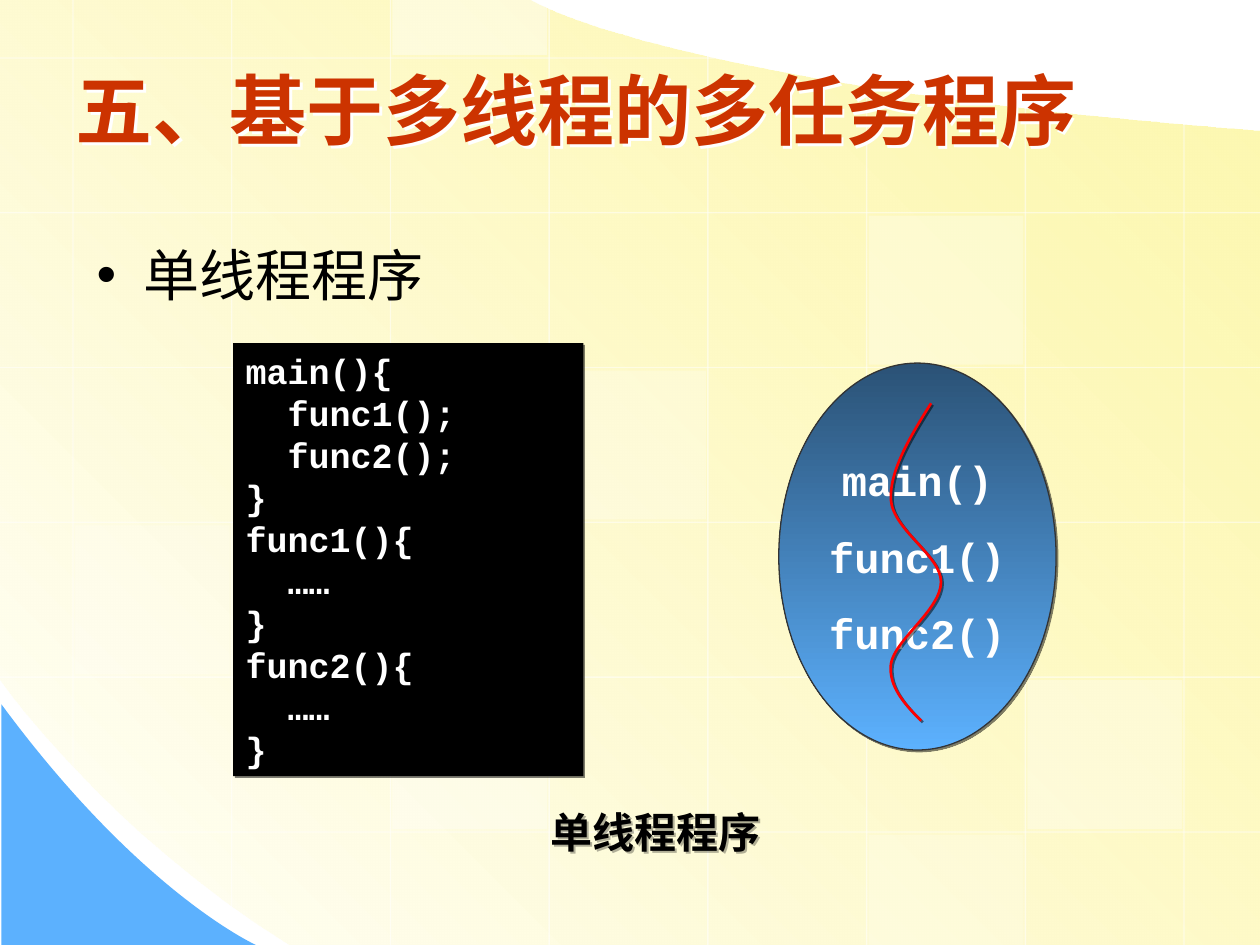
from lxml import etree
from pptx import Presentation
from pptx.dml.color import RGBColor
from pptx.enum.shapes import MSO_CONNECTOR as CONN, MSO_SHAPE as SHAPE
from pptx.enum.text import MSO_ANCHOR as ANCHOR, MSO_AUTO_SIZE as AUTO, PP_ALIGN as ALIGN
from pptx.oxml.ns import qn
from pptx.util import Cm, Pt

W, H = 25.4, 19.05
COLORS = {
    "white": "FFFFFF", "black": "000000", "title": "CC3300", "red": "FF0000",
    "yellow": "FDF58D", "cream": "FFFFFB", "sky": "5CB1FE", "navy": "2B5276",
    "outline": "333333",
}


def rgb(name):
    return RGBColor.from_string(COLORS[name])


class SlideBuilder:
    """Holds the drawing style and the current slide."""

    def __init__(self, s):
        self.s = s
        self.shapes = s.shapes

    def alpha(self, fill, percent):
        """Sets the opacity of a solid fill or of a gradient's first stop."""
        color = next(fill._xPr.iter(qn("a:srgbClr")))
        etree.SubElement(color, qn("a:alpha"), val=str(percent * 1000))

    def effects(self, sp, shadow=None, alpha=50, dist=1.4):
        sp_pr = sp._element.spPr
        for old in sp_pr.findall(qn("a:effectLst")):
            sp_pr.remove(old)
        effects = etree.SubElement(sp_pr, qn("a:effectLst"))
        if shadow:
            outer = etree.SubElement(effects, qn("a:outerShdw"), dist=str(Pt(dist)),
                                     dir="2700000", algn="ctr", rotWithShape="0")
            color = etree.SubElement(outer, qn("a:srgbClr"), val=COLORS[shadow])
            etree.SubElement(color, qn("a:alpha"), val=str(alpha * 1000))

    def paint(self, sp, fill=None, line=None, width=0.75, angle=0):
        """fill is a colour name, a pair for a gradient, or None."""
        if isinstance(fill, tuple):
            sp.fill.gradient()
            sp.fill.gradient_angle = angle
            for stop, name, position in zip(sp.fill.gradient_stops, fill, (0, 1)):
                stop.color.rgb = rgb(name)
                stop.position = position
        elif fill:
            sp.fill.solid()
            sp.fill.fore_color.rgb = rgb(fill)
        else:
            sp.fill.background()
        if line:
            sp.line.color.rgb = rgb(line)
            sp.line.width = Pt(width)
        else:
            sp.line.fill.background()

    def shape(self, kind, box, shadow=None, **style):
        sp = self.shapes.add_shape(kind, *map(Cm, box))
        self.paint(sp, **style)
        self.effects(sp, shadow)
        return sp

    def outline(self, start, parts, close=True, shadow=None, **style):
        """parts are points (x, y) or cubic curves of six numbers."""
        points = [(Cm(part[i]), Cm(part[i + 1]))
                  for part in parts for i in range(0, len(part), 2)]
        builder = self.shapes.build_freeform(*map(Cm, start))
        builder.add_line_segments(points, close=close)
        sp = builder.convert_to_shape()
        # Join the three points of each curve into one segment
        segments = iter(list(sp._element.iter(qn("a:lnTo"))))
        for part in parts:
            group = [next(segments) for _ in range(len(part) // 2)]
            if len(group) == 3:
                curve = etree.Element(qn("a:cubicBezTo"))
                group[0].addprevious(curve)
                for segment in group:
                    curve.append(segment[0])
                    segment.getparent().remove(segment)
        self.paint(sp, **style)
        self.effects(sp, shadow)
        return sp

    def grid_line(self, x1, y1, x2, y2):
        line = self.shapes.add_connector(CONN.STRAIGHT, *map(Cm, (x1, y1, x2, y2)))
        line.line.color.rgb = rgb("white")
        line.line.width = Pt(0.75)
        self.alpha(line.line.fill, 50)
        self.effects(line)

    def move_to_layout(self):
        """Puts everything but the placeholders behind the layout's own parts."""
        tree = self.s.slide_layout.shapes._spTree
        drawn = [sp for sp in self.shapes if not sp.is_placeholder]
        for i, sp in enumerate(drawn):
            next(sp._element.iter(qn("p:cNvPr"))).set("id", str(100 + i))
            tree.insert(2 + i, sp._element)

    def text(self, sp, lines, color, anchor=ANCHOR.TOP, align=ALIGN.LEFT,
             wrap=True, gap=0, bullet=False, **font):
        tf = sp.text_frame
        frame = {"word_wrap": wrap, "auto_size": AUTO.NONE, "vertical_anchor": anchor}
        for key, value in frame.items():
            setattr(tf, key, value)
        for i, line in enumerate(lines):
            p = tf.paragraphs[0] if i == 0 else tf.add_paragraph()
            p.alignment = align
            p.space_before = Pt(gap if i else 0)
            if bullet:
                p_pr = p._p.get_or_add_pPr()
                p_pr.set("marL", str(Cm(0.95)))
                p_pr.set("indent", str(Cm(-0.95)))
                etree.SubElement(p_pr, qn("a:buFont"), typeface="Arial")
                etree.SubElement(p_pr, qn("a:buChar"), char="•")
            r = p.add_run()
            r.text = line
            for key, value in font.items():
                setattr(r.font, key, value)
            r.font.color.rgb = rgb(color)

    def text_box(self, box, lines, **style):
        sp = self.shapes.add_textbox(*map(Cm, box))
        self.text(sp, lines, **style)
        return sp

    def title(self, box, words, **style):
        sp = self.shapes.title
        sp.left, sp.top, sp.width, sp.height = map(Cm, box)
        self.text(sp, [words], anchor=ANCHOR.MIDDLE, **style)
        self.effects(sp, "white", alpha=100, dist=2)


def draw_backdrop(b):
    # Yellow field and blue corner
    field = b.outline((W, 2.64), [(W, 10.85, W, H, W, H), (5.84, H),
                                  (2.18, 16.79, 0, 13.69, 0, 13.69), (0, 0), (10.69, 0),
                                  (10.69, 0.03, 13.64, 1.75, W, 2.64)],
                      fill=("yellow", "cream"), angle=225)
    b.alpha(field.fill, 70)
    b.outline((0.03, 14.2), [(0.03, 16.64, 0.03, H, 0.03, H), (5.16, H),
                             (5.16, H, 2.84, 18.01, 0.03, 14.2)], fill="sky")

    # Grid lines, trimmed by the curved edges
    left, top, step_x, step_y = 1.47, 1.17, 3.2, 3.12
    columns = [(0, 15.47), (0, 18.26), (0, H), (0, H),
               (1.09, H), (1.73, H), (2.16, H), (2.49, H)]
    rows = [(0, 14.43)] + [(0, W)] * 4 + [(2.82, W)]
    for i, (y1, y2) in enumerate(columns):
        b.grid_line(left + i * step_x, y1, left + i * step_x, y2)
    for i, (x1, x2) in enumerate(rows):
        b.grid_line(x1, top + i * step_y, x2, top + i * step_y)

    # Pale tiles: column, row, opacity
    for col, row, opacity in [(3, 2, 25), (6, 4, 30), (0, 3, 20), (5, 5, 20),
                              (2, -1, 40), (2, 4, 30), (5, 1, 30)]:
        y = top + row * step_y + 0.06
        y1, y2 = max(y, 0), min(y + 3, H)
        tile = b.shape(SHAPE.RECTANGLE, (left + col * step_x + 0.04, y1, 3.12, y2 - y1),
                       fill="white")
        b.alpha(tile.fill, opacity)


def main():
    prs = Presentation()
    prs.slide_width, prs.slide_height = Cm(W), Cm(H)
    b = SlideBuilder(prs.slides.add_slide(prs.slide_layouts[5]))
    draw_backdrop(b)
    b.move_to_layout()

    # Title and bullet
    b.title((1.27, 0.91, 22.86, 2.57), "五、基于多线程的多任务程序",
            color="title", size=Pt(44), name="Arial", bold=True)
    b.text_box((1.7, 4.72, 22.86, 12.57), ["单线程程序"], bullet=True,
               color="black", size=Pt(32), name="Arial")

    # Program listing
    code = b.shape(SHAPE.RECTANGLE, (4.7, 6.92, 7.06, 8.73), fill="black", shadow="black")
    b.text(code, ["main(){", "  func1();", "  func2();", "}",
                  "func1(){", "  ……", "}", "func2(){", "  ……", "}"],
           color="white", size=Pt(20), name="Courier New", bold=True)

    # Process with its single thread
    process = b.shape(SHAPE.OVAL, (15.7, 7.32, 5.59, 7.8), fill=("navy", "sky"), angle=270,
                      line="outline", shadow="black")
    b.text(process, ["main()", "func1()", "func2()"], anchor=ANCHOR.MIDDLE,
           align=ALIGN.CENTER, wrap=False, gap=15,
           color="white", size=Pt(24), name="Courier New", bold=True)
    b.outline((18.77, 8.13), [(18.34, 8.81, 17.93, 9.5, 17.96, 10.08),
                              (18.01, 10.69, 18.97, 11.2, 18.97, 11.73),
                              (18.97, 12.29, 18.03, 12.9, 17.96, 13.39),
                              (17.91, 13.84, 18.24, 14.2, 18.57, 14.53)],
              close=False, line="red", width=1.5, shadow="black")

    # Caption
    caption = b.text_box((10.85, 16.13, 6.25, 1.27), ["单线程程序"],
                         color="black", size=Pt(24), name="Arial", bold=True)
    b.effects(caption, "black", alpha=30)

    prs.save("out.pptx")


if __name__ == "__main__":
    main()
